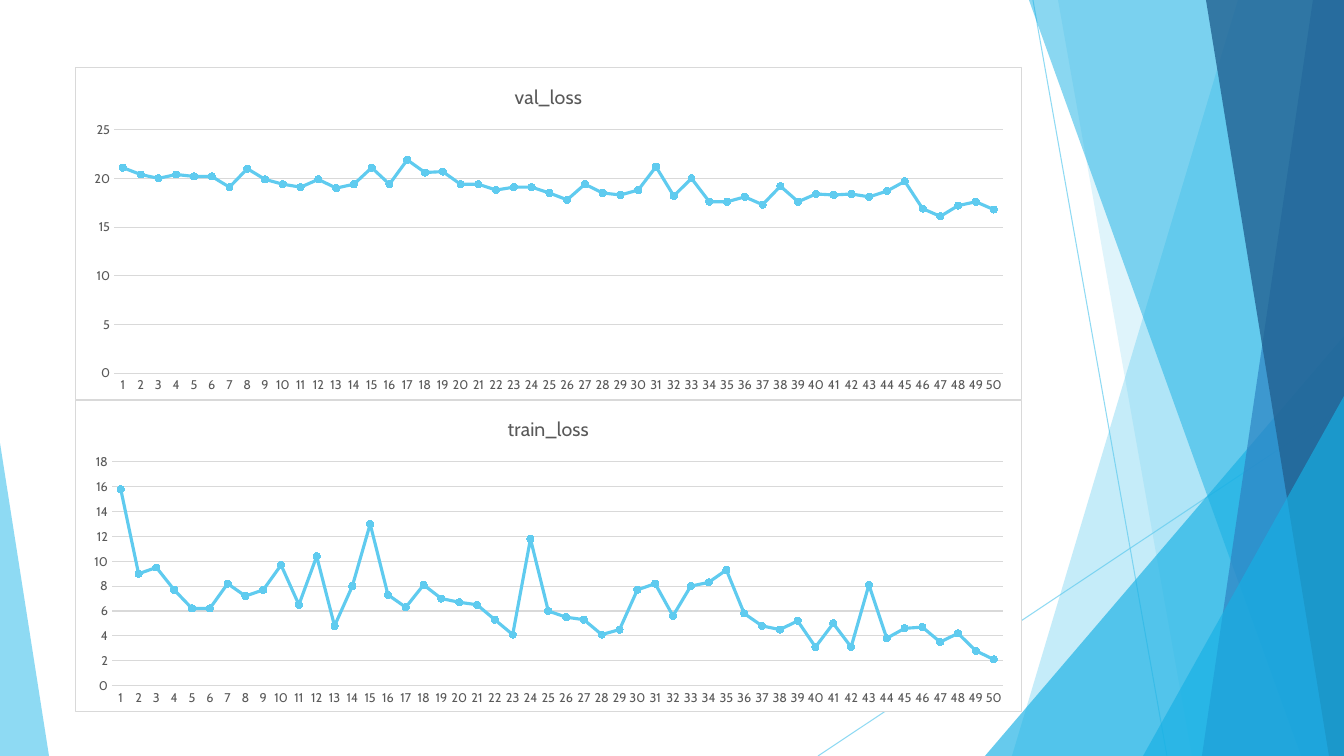
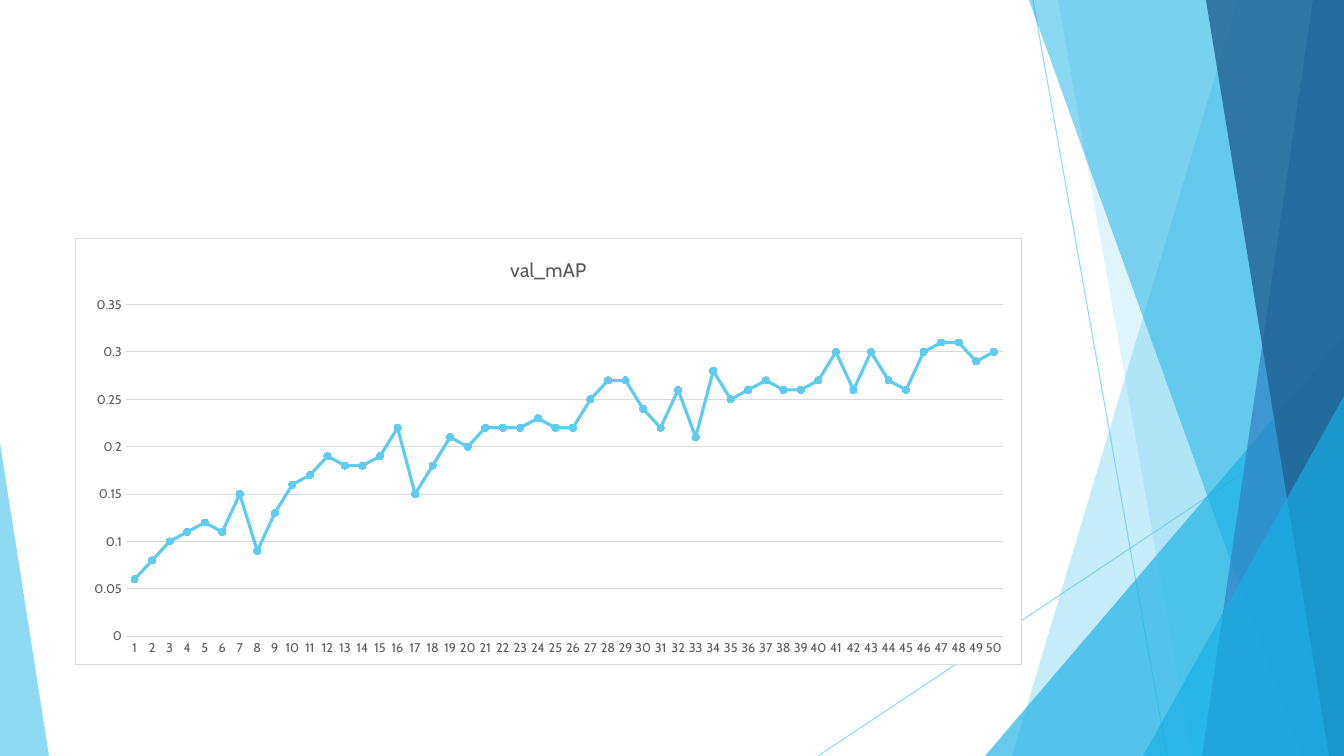
"""Build two slides of training curves on a faceted blue background."""
from lxml import etree
from pptx import Presentation
from pptx.chart.data import CategoryChartData
from pptx.dml.color import RGBColor
from pptx.enum.chart import XL_CHART_TYPE, XL_MARKER_STYLE, XL_TICK_MARK
from pptx.enum.shapes import MSO_CONNECTOR, MSO_SHAPE
from pptx.oxml import parse_xml
from pptx.oxml.ns import nsdecls, qn
from pptx.util import Emu, Pt

STACKED = XL_CHART_TYPE.LINE_MARKERS_STACKED
PLAIN = XL_CHART_TYPE.LINE_MARKERS
CIRCLE = XL_MARKER_STYLE.CIRCLE
NO_TICK = XL_TICK_MARK.NONE
STRAIGHT = MSO_CONNECTOR.STRAIGHT
TRIANGLE = MSO_SHAPE.ISOSCELES_TRIANGLE

EMU_PER_PX = 914400 / 100.8
WIDTH, HEIGHT = 1344, 756
CHART_LEFT, CHART_WIDTH = 75, 947
EPOCHS = 50
FONT = "Cabin"
COLORS = {
    "sky": "5FCBEF",
    "cyan": "17B0E4",
    "blue": "2E83C3",
    "navy": "226292",
    "text": "595959",
    "rule": "D9D9D9",
    "paper": "FFFFFF",
}

RAYS = [(1033, 0, 1167, HEIGHT), (WIDTH, 406, 818, HEIGHT)]
BACK_BANDS = [(1238, 1012, "sky", 36), (1058, 1192, "sky", 20)]
FRONT_BANDS = [
    (1029, 1301, "cyan", 50),
    (1313, 1202, "blue", 70),
    (1206, 1329, "navy", 80),
]

VAL_LOSS = [
    21.1, 20.4, 20, 20.4, 20.2, 20.2, 19.1, 21, 19.9, 19.4,
    19.1, 19.9, 19, 19.4, 21.1, 19.4, 21.9, 20.6, 20.7, 19.4,
    19.4, 18.8, 19.1, 19.1, 18.5, 17.8, 19.4, 18.5, 18.3, 18.8,
    21.2, 18.2, 20, 17.6, 17.6, 18.1, 17.3, 19.2, 17.6, 18.4,
    18.3, 18.4, 18.1, 18.7, 19.7, 16.9, 16.1, 17.2, 17.6, 16.8,
]
TRAIN_LOSS = [
    15.8, 9, 9.5, 7.7, 6.2, 6.2, 8.2, 7.2, 7.7, 9.7,
    6.5, 10.4, 4.8, 8, 13, 7.3, 6.3, 8.1, 7, 6.7,
    6.5, 5.3, 4.1, 11.8, 6, 5.5, 5.3, 4.1, 4.5, 7.7,
    8.2, 5.6, 8, 8.3, 9.3, 5.8, 4.8, 4.5, 5.2, 3.1,
    5, 3.1, 8.1, 3.8, 4.6, 4.7, 3.5, 4.2, 2.8, 2.1,
]
VAL_MAP = [
    0.06, 0.08, 0.1, 0.11, 0.12, 0.11, 0.15, 0.09, 0.13, 0.16,
    0.17, 0.19, 0.18, 0.18, 0.19, 0.22, 0.15, 0.18, 0.21, 0.2,
    0.22, 0.22, 0.22, 0.23, 0.22, 0.22, 0.25, 0.27, 0.27, 0.24,
    0.22, 0.26, 0.21, 0.28, 0.25, 0.26, 0.27, 0.26, 0.26, 0.27,
    0.3, 0.26, 0.3, 0.27, 0.26, 0.3, 0.31, 0.31, 0.29, 0.3,
]


def px(length):
    """Turn px into EMU."""
    return Emu(round(length * EMU_PER_PX))


def rgb(color):
    """Look up a named colour."""
    return RGBColor.from_string(COLORS[color])


def paint(fill, color, opacity=100):
    """Give a fill one colour and an opacity in percent."""
    fill.solid()
    fill.fore_color.rgb = rgb(color)
    if opacity < 100:
        tint = fill._xPr.find(qn("a:solidFill"))[0]
        etree.SubElement(tint, qn("a:alpha")).set("val", str(opacity * 1000))


def rule(line, color, width=0.75, opacity=100):
    """Give a line its colour, width and opacity."""
    line.width = Pt(width)
    paint(line.fill, color, opacity)


def set_font(font, size, color="text"):
    """Apply the deck's typeface with a size and colour."""
    font.name = FONT
    font.size = Pt(size)
    font.bold = False
    font.color.rgb = rgb(color)


def write_text(frame, text, size=14, color="text"):
    """Write one formatted run into a text frame."""
    run = frame.paragraphs[0].add_run()
    run.text = text
    set_font(run.font, size, color)


def add_ray(slide, x1, y1, x2, y2):
    """Draw a thin translucent line."""
    ray = slide.shapes.add_connector(STRAIGHT, px(x1), px(y1), px(x2), px(y2))
    rule(ray.line, "sky", opacity=70)
    etree.SubElement(ray._element.spPr, qn("a:effectLst"))


def finish_facet(facet, color, opacity):
    """Make a facet flat, borderless and translucent."""
    facet.shadow.inherit = False
    paint(facet.fill, color, opacity)
    facet.line.fill.background()


def add_band(slide, top_x, bottom_x, color, opacity):
    """Fill from a slanted left edge to the right side of the slide."""
    outline = slide.shapes.build_freeform(top_x, 0, scale=EMU_PER_PX)
    outline.add_line_segments([(WIDTH, 0), (WIDTH, HEIGHT), (bottom_x, HEIGHT)])
    finish_facet(outline.convert_to_shape(), color, opacity)


def add_corner(slide, left, top, width, apex, color, opacity):
    """Draw a right triangle standing on the bottom edge."""
    corner = slide.shapes.add_shape(
        TRIANGLE, px(left), px(top), px(width), px(HEIGHT - top))
    corner.adjustments[0] = apex
    finish_facet(corner, color, opacity)


def add_background(slide):
    """Draw the rays and facets that every slide shares."""
    for ray in RAYS:
        add_ray(slide, *ray)
    for band in BACK_BANDS:
        add_band(slide, *band)
    add_corner(slide, 985, 336, 359, 1, "cyan", 66)
    for band in FRONT_BANDS:
        add_band(slide, *band)
    add_corner(slide, 1143, 396, 201, 1, "cyan", 66)
    add_corner(slide, 0, 443, 49, 0, "sky", 70)


def frame_chart(chart):
    """Give the chart area a white fill and a thin border."""
    frame = parse_xml(
        f'<c:spPr {nsdecls("c", "a")}>'
        f'<a:solidFill><a:srgbClr val="{COLORS["paper"]}"/></a:solidFill>'
        f'<a:ln w="{Pt(0.75)}"><a:solidFill>'
        f'<a:srgbClr val="{COLORS["rule"]}"/></a:solidFill></a:ln></c:spPr>')
    chart._chartSpace.find(qn("c:chart")).addnext(frame)


def style_axes(chart, top, step):
    """Format both axes and set the value scale."""
    epochs, scores = chart.category_axis, chart.value_axis
    for axis in (epochs, scores):
        axis.major_tick_mark = axis.minor_tick_mark = NO_TICK
        set_font(axis.tick_labels.font, 9)
        axis._element.txPr.bodyPr.set("rot", "-60000000")
    epochs.has_major_gridlines = False
    rule(epochs.format.line, "rule")
    scores.minimum_scale, scores.maximum_scale = 0, top
    scores.major_unit = step
    scores.has_major_gridlines = True
    rule(scores.major_gridlines.format.line, "rule")
    scores.format.line.fill.background()
    scores.tick_labels.number_format = "General"
    scores.tick_labels.number_format_is_linked = False


def style_curve(curve):
    """Format the curve and its round markers."""
    curve.smooth = False
    rule(curve.format.line, "sky", 2.25)
    curve.marker.style = CIRCLE
    curve.marker.size = 5
    paint(curve.marker.format.fill, "sky")
    rule(curve.marker.format.line, "sky")


def add_curve_chart(slide, name, values, y, height, top, step, kind=STACKED):
    """Plot one metric against the epoch number."""
    metric = CategoryChartData()
    metric.categories = [str(epoch) for epoch in range(1, EPOCHS + 1)]
    metric.add_series(name, values)
    chart = slide.shapes.add_chart(
        kind, px(CHART_LEFT), px(y), px(CHART_WIDTH), px(height), metric).chart
    set_font(chart.font, 10)
    frame_chart(chart)
    chart.has_legend = False
    chart.has_title = True
    write_text(chart.chart_title.text_frame, name)
    chart.chart_title.include_in_layout = False
    style_axes(chart, top, step)
    chart.plots[0].vary_by_categories = False
    style_curve(chart.plots[0].series[0])


def add_slide(deck):
    """Add a blank slide with the shared background."""
    slide = deck.slides.add_slide(deck.slide_layouts[6])
    paint(slide.background.fill, "paper")
    add_background(slide)
    return slide


def main():
    """Build and save the deck."""
    deck = Presentation()
    deck.slide_width, deck.slide_height = px(WIDTH), px(HEIGHT)
    losses = add_slide(deck)
    add_curve_chart(losses, "train_loss", TRAIN_LOSS, 400, 312, 18, 2)
    add_curve_chart(losses, "val_loss", VAL_LOSS, 67, 333, 25, 5)
    precision = add_slide(deck)
    add_curve_chart(precision, "val_mAP", VAL_MAP, 238, 427, 0.35, 0.05, PLAIN)
    deck.save("out.pptx")


if __name__ == "__main__":
    main()
